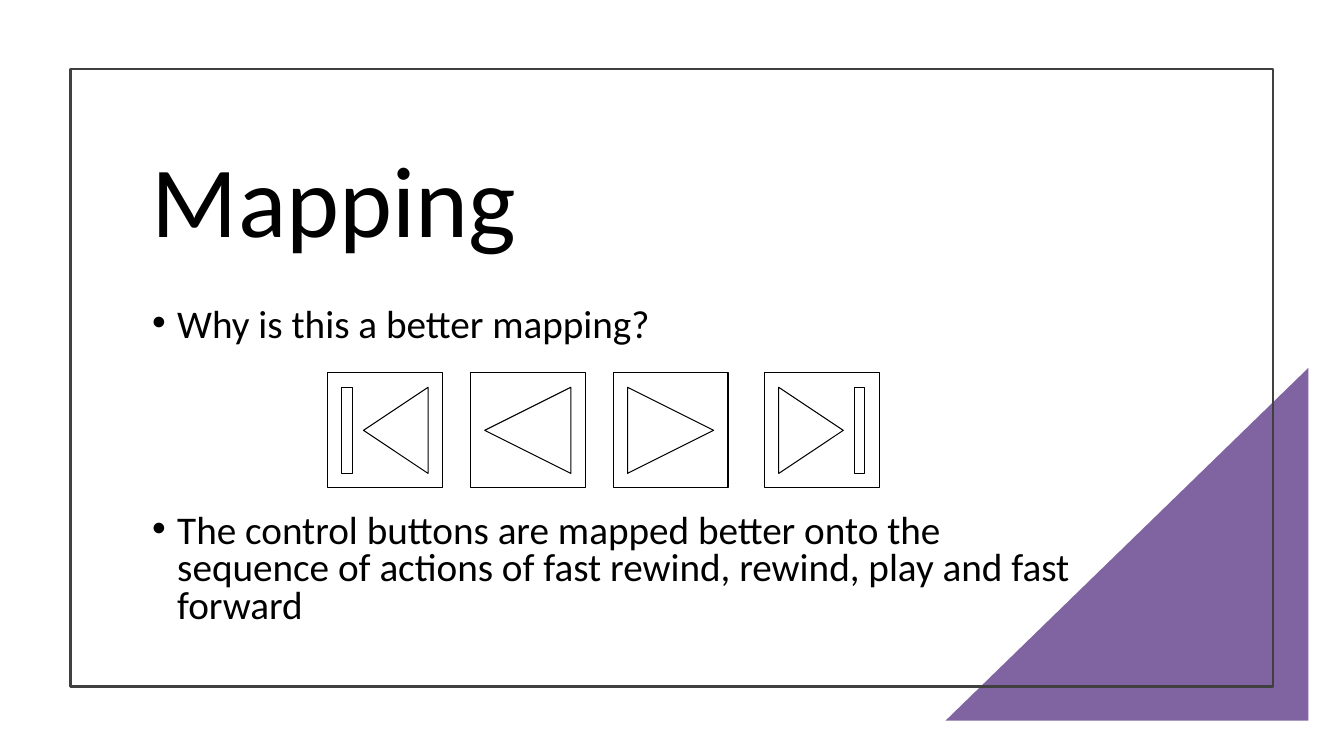
from dataclasses import dataclass

from pptx import Presentation
from pptx import util as u
from pptx.dml.color import RGBColor
from pptx.enum import shapes, text
from pptx.oxml.ns import qn
from lxml import etree

Pt = u.Pt
MSO = shapes.MSO_SHAPE


@dataclass(frozen=True)
class Theme:
    font: str = "Calibri"
    ink: str = "000000"
    frame: str = "404040"
    accent: str = "8064A2"
    title_size: int = 72
    body_size: int = 28


def write(p, content, *, theme, size, spacing, before=0, bullet=False):
    p.line_spacing = spacing
    p.space_before = Pt(before)
    r = p.add_run()
    r.text = content
    r.font.name = theme.font
    r.font.size = Pt(size)
    r.font.color.rgb = RGBColor.from_string(theme.ink)
    if bullet:
        ppr = p._p.get_or_add_pPr()
        ppr.set("marL", str(Pt(18)))
        ppr.set("indent", str(Pt(-18)))
        etree.SubElement(ppr, qn("a:buFont")).set("typeface", "Arial")
        etree.SubElement(ppr, qn("a:buChar")).set("char", "•")


class SlideBuilder:
    def __init__(self, slide, theme):
        self.slide = slide
        self.theme = theme

    def shape(self, kind, x, y, w, h, fill=None, line=None, width=0.75, flip=False):
        sp = self.slide.shapes.add_shape(kind, Pt(x), Pt(y), Pt(w), Pt(h))
        sp.shadow.inherit = False
        if fill:
            sp.fill.solid()
            sp.fill.fore_color.rgb = RGBColor.from_string(fill)
        else:
            sp.fill.background()
        if line:
            sp.line.color.rgb = RGBColor.from_string(line)
            sp.line.width = Pt(width)
        else:
            sp.line.fill.background()
        if flip:
            sp._element.spPr.find(qn("a:xfrm")).set("flipH", "1")
        return sp

    def text_frame(self, x, y, w, h, anchor=text.MSO_ANCHOR.TOP):
        tf = self.slide.shapes.add_textbox(Pt(x), Pt(y), Pt(w), Pt(h)).text_frame
        tf.word_wrap = True
        tf.vertical_anchor = anchor
        return tf

    def title(self, content, *box):
        tf = self.text_frame(*box, anchor=text.MSO_ANCHOR.MIDDLE)
        write(tf.paragraphs[0], content, theme=self.theme,
              size=self.theme.title_size, spacing=0.9)

    def bullets(self, items, *box):
        tf = self.text_frame(*box)
        for i, (content, before) in enumerate(items):
            p = tf.add_paragraph() if i else tf.paragraphs[0]
            write(p, content, theme=self.theme, size=self.theme.body_size,
                  spacing=0.8, before=before, bullet=True)


def main():
    prs = Presentation()
    prs.slide_width, prs.slide_height = Pt(960), Pt(540)
    theme = Theme()
    s = SlideBuilder(prs.slides.add_slide(prs.slide_layouts[6]), theme)

    s.shape(MSO.RIGHT_TRIANGLE, 675.4, 262.8, 259.2, 252, fill=theme.accent, flip=True)
    s.shape(MSO.RECTANGLE, 50.4, 49, 859, 441.4, line=theme.frame, width=1.5)
    s.title("Mapping", 101.5, 82.8, 635.8, 127.4)
    s.bullets([
        ("Why is this a better mapping?", 10),
        ("The control buttons are mapped better onto the sequence of actions "
         "of fast rewind, rewind, play and fast forward", 120),
    ], 101.5, 216.7, 684.7, 237.6)

    buttons = [
        (MSO.ACTION_BUTTON_BEGINNING, 234),
        (MSO.ACTION_BUTTON_BACK_OR_PREVIOUS, 336),
        (MSO.ACTION_BUTTON_FORWARD_OR_NEXT, 438),
        (MSO.ACTION_BUTTON_END, 546),
    ]
    for kind, x in buttons:
        s.shape(kind, x, 266.4, 82, 82, line=theme.ink)

    prs.save("out.pptx")


if __name__ == "__main__":
    main()
